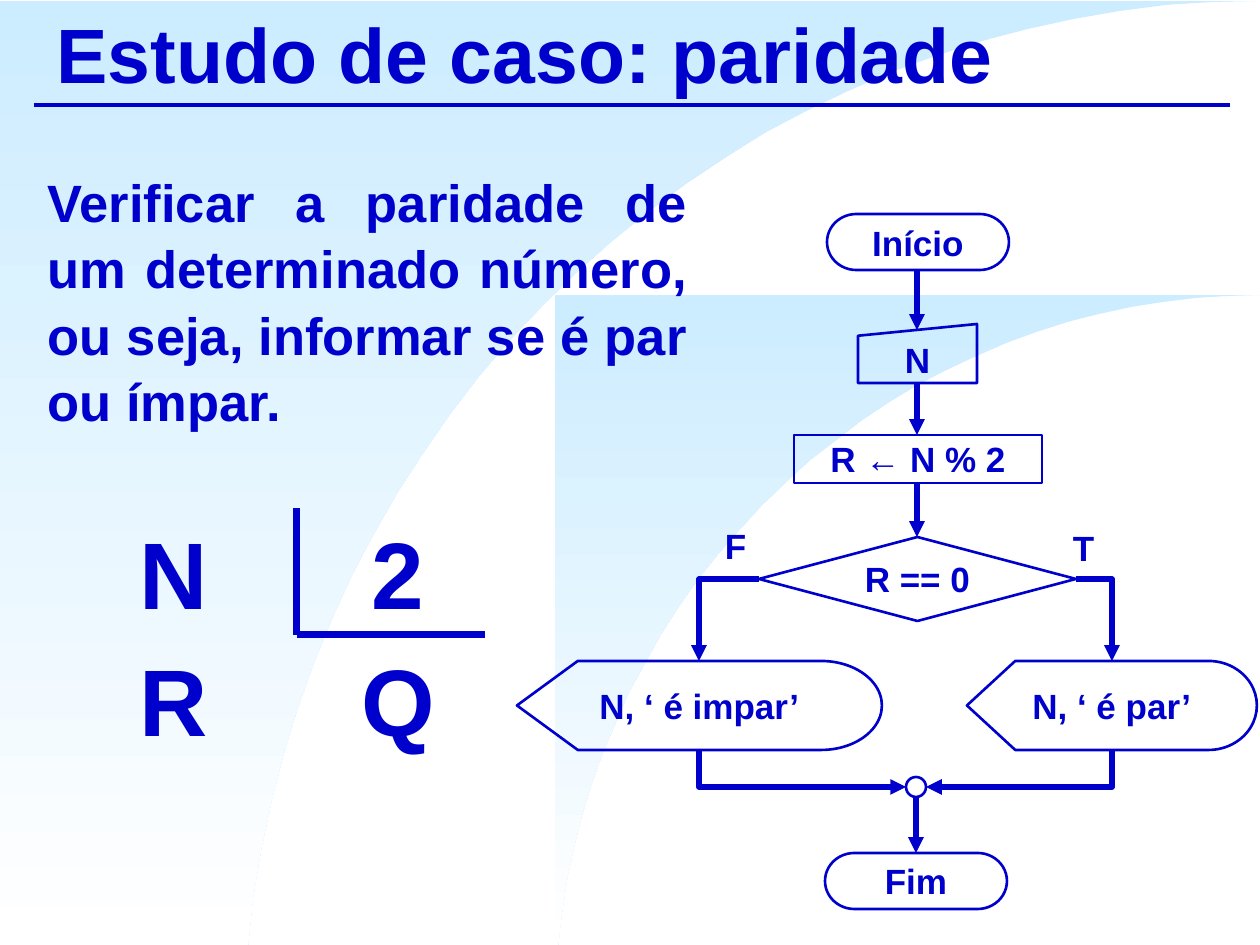
import math

import lxml.etree
import pptx
import pptx.dml.color
import pptx.enum.shapes
import pptx.enum.text
import pptx.oxml
import pptx.oxml.ns
import pptx.util

SCALE = 914400 / 126
WIDTH, HEIGHT = 1260, 945
FONT = "Arial"
COLOURS = {"ink": "0000CC", "sky": "CCECFF", "white": "FFFFFF"}
SHAPE = pptx.enum.shapes.MSO_SHAPE
CONNECTOR = pptx.enum.shapes.MSO_CONNECTOR
ALIGN = pptx.enum.text.PP_ALIGN
qn = pptx.oxml.ns.qn


def px(*lengths):
    """Turn pixel lengths into EMU."""
    return [pptx.util.Emu(round(length * SCALE)) for length in lengths]


def rgb(name):
    """Look up a named colour."""
    return pptx.dml.color.RGBColor.from_string(COLOURS[name])


def write(text_frame, text, size, alignment=ALIGN.CENTER):
    """Set one bold paragraph, vertically centred."""
    text_frame.text = text
    text_frame.vertical_anchor = pptx.enum.text.MSO_ANCHOR.MIDDLE
    paragraph = text_frame.paragraphs[0]
    paragraph.alignment = alignment
    font = paragraph.runs[0].font
    font.name, font.size, font.bold = FONT, pptx.util.Pt(size), True
    font.color.rgb = rgb("ink")
    return paragraph


def add_sweep(slide, left, top, radius_x, radius_y):
    """Fill the corner left outside a large elliptical arc."""
    centre_y = top + radius_y
    first = math.asin((centre_y - HEIGHT) / radius_y)
    steps = 32
    angles = [first + (math.pi / 2 - first) * step / steps for step in range(steps + 1)]
    arc = [
        (round(WIDTH - radius_x * math.cos(angle)), round(centre_y - radius_y * math.sin(angle)))
        for angle in angles
    ]
    builder = slide.shapes.build_freeform(*arc[0], scale=SCALE)
    builder.add_line_segments(arc[1:] + [(WIDTH, top), (left, top), (left, HEIGHT)])
    shape = builder.convert_to_shape()
    shape.shadow.inherit = False
    shape.line.fill.background()
    shape.fill.gradient()
    shape.fill.gradient_angle = 270
    for stop, name in zip(shape.fill.gradient_stops, ("sky", "white")):
        stop.color.rgb = rgb(name)


def place(slide, placeholder, box, text, size, alignment):
    """Move a placeholder to the front, position it and write its text."""
    slide.shapes.element.append(placeholder.element)
    placeholder.left, placeholder.top, placeholder.width, placeholder.height = px(*box)
    placeholder.text_frame.word_wrap = True
    placeholder.text_frame.auto_size = pptx.enum.text.MSO_AUTO_SIZE.NONE
    return write(placeholder.text_frame, text, size, alignment)


def add_node(slide, kind, box, text=None):
    """Add an outlined flowchart symbol."""
    shape = slide.shapes.add_shape(kind, *px(*box))
    shape.shadow.inherit = False
    shape.fill.background()
    shape.line.color.rgb = rgb("ink")
    shape.line.width = pptx.util.Pt(1.5)
    if text:
        shape.text_frame.word_wrap = False
        write(shape.text_frame, text, 20)


def add_label(slide, box, text, size):
    """Add a centred, unwrapped text box."""
    text_frame = slide.shapes.add_textbox(*px(*box)).text_frame
    text_frame.word_wrap = False
    write(text_frame, text, size)


def add_line(slide, start, end, width, arrow=False, kind=CONNECTOR.STRAIGHT):
    """Add a connector, optionally with an arrowhead at its end."""
    connector = slide.shapes.add_connector(kind, *px(*start, *end))
    connector.line.color.rgb = rgb("ink")
    connector.line.width = pptx.util.Pt(width)
    properties = connector.element.spPr
    if arrow:
        line = properties.find(qn("a:ln"))
        lxml.etree.SubElement(line, qn("a:tailEnd"), type="triangle")
    lxml.etree.SubElement(properties, qn("a:effectLst"))
    return connector


def add_elbow(slide, start, end, down_first=False):
    """Add a one-bend arrow, turned on its side when it leaves downwards."""
    (x1, y1), (x2, y2) = start, end
    if down_first:
        centre_x, centre_y = (x1 + x2) / 2, (y1 + y2) / 2
        half_x, half_y = (y2 - y1) / 2, abs(x2 - x1) / 2
        if x2 > x1:
            half_x = -half_x
        start = (centre_x - half_x, centre_y - half_y)
        end = (centre_x + half_x, centre_y + half_y)
    connector = add_line(slide, start, end, 3, True, CONNECTOR.ELBOW)
    properties = connector.element.spPr
    properties.find(qn("a:prstGeom")).set("prst", "bentConnector2")
    if down_first:
        degrees = 270 if x2 > x1 else 90
        properties.find(qn("a:xfrm")).set("rot", str(degrees * 60000))


def add_text(slide):
    """Fill the title and the problem statement."""
    title, body = slide.placeholders
    place(slide, title, (44, 0, 1187, 105), "Estudo de caso: paridade", 44, ALIGN.LEFT)
    statement = (
        "Verificar a paridade de um determinado número, "
        "ou seja, informar se é par ou ímpar."
    )
    paragraph = place(slide, body, (35, 125, 665, 349), statement, 30, ALIGN.JUSTIFY)
    paragraph.space_before = pptx.util.Pt(0)
    paragraph.line_spacing = 1.05
    properties = paragraph._p.get_or_add_pPr()
    properties.set("marL", "0")
    properties.set("indent", "0")
    lxml.etree.SubElement(properties, qn("a:buNone"))


def add_division(slide):
    """Draw the long division of N by 2."""
    for text, left, top, width in (
        ("N", 126, 508, 95),
        ("2", 359, 508, 78),
        ("R", 126, 635, 95),
        ("Q", 348, 635, 100),
    ):
        add_label(slide, (left, top, width, 127), text, 54)
    add_line(slide, (297, 508), (297, 635), 4)
    add_line(slide, (297, 635), (485, 635), 4)


def add_flowchart(slide):
    """Draw the parity flowchart."""
    for kind, box, text in (
        (SHAPE.FLOWCHART_TERMINATOR, (827, 214, 182, 56), "Início"),
        (SHAPE.FLOWCHART_MANUAL_INPUT, (858, 324, 119, 59), "N"),
        (SHAPE.FLOWCHART_PROCESS, (794, 435, 248, 48), "R ← N % 2"),
        (SHAPE.FLOWCHART_DECISION, (759, 537, 317, 84), "R == 0"),
        (SHAPE.FLOWCHART_DISPLAY, (967, 661, 290, 89), "N, ‘ é par’"),
        (SHAPE.FLOWCHART_DISPLAY, (517, 661, 365, 89), "N, ‘ é impar’"),
        (SHAPE.FLOWCHART_CONNECTOR, (906, 777, 20, 20), None),
        (SHAPE.FLOWCHART_TERMINATOR, (825, 853, 182, 56), "Fim"),
    ):
        add_node(slide, kind, box, text)
    for x, top, bottom in ((917, 270, 330), (917, 383, 435), (917, 483, 537), (916, 797, 853)):
        add_line(slide, (x, top), (x, bottom), 3, True)
    for corner, branch_x, join_x in ((759, 699, 906), (1076, 1112, 926)):
        add_elbow(slide, (corner, 579), (branch_x, 661))
        add_elbow(slide, (branch_x, 750), (join_x, 787), True)
    add_label(slide, (712, 518, 47, 55), "F", 20)
    add_label(slide, (1060, 520, 47, 55), "T", 20)


def main():
    """Build and save the slide."""
    presentation = pptx.Presentation()
    presentation.slide_width, presentation.slide_height = px(WIDTH, HEIGHT)
    slide = presentation.slides.add_slide(presentation.slide_layouts[1])
    add_sweep(slide, 0, 1, 1017, 1045)
    add_sweep(slide, 555, 295, 705, 718)
    add_line(slide, (34, 105), (1230, 105), 2.25)
    add_text(slide)
    add_division(slide)
    add_flowchart(slide)
    presentation.save("out.pptx")


if __name__ == "__main__":
    main()
